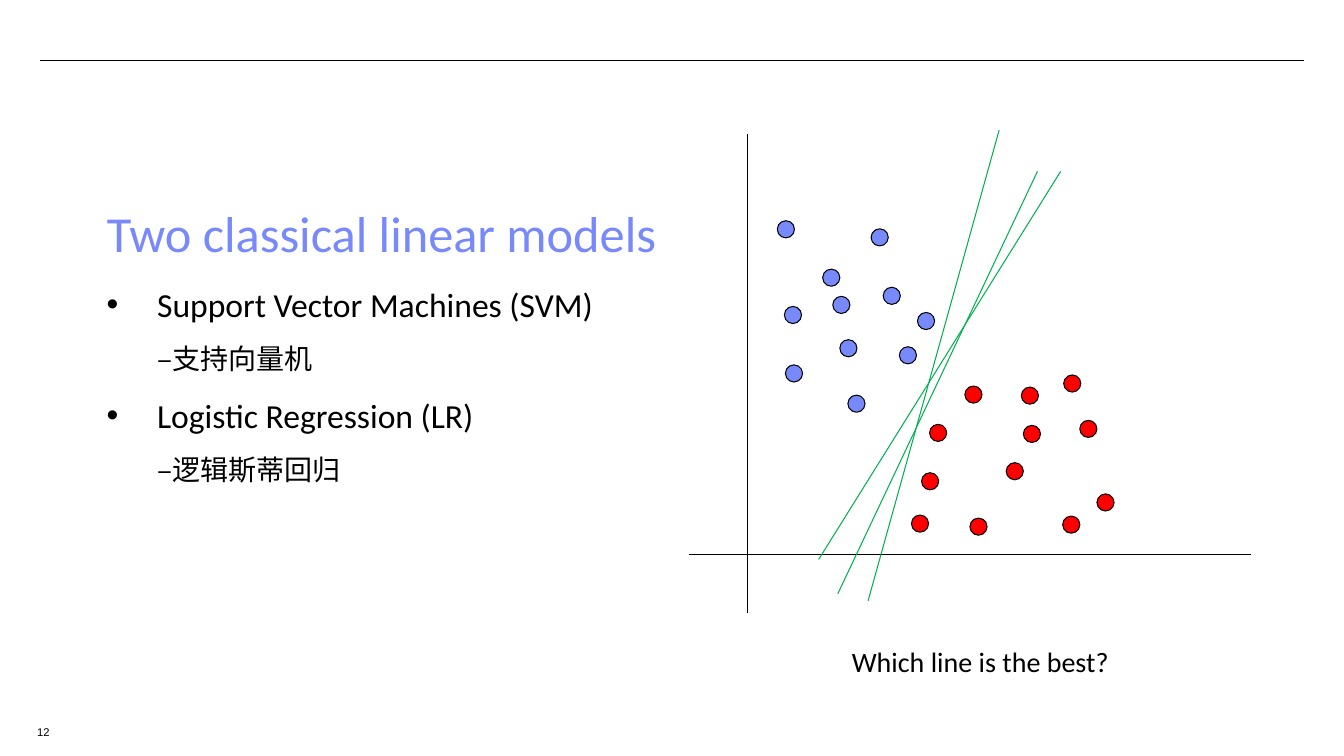
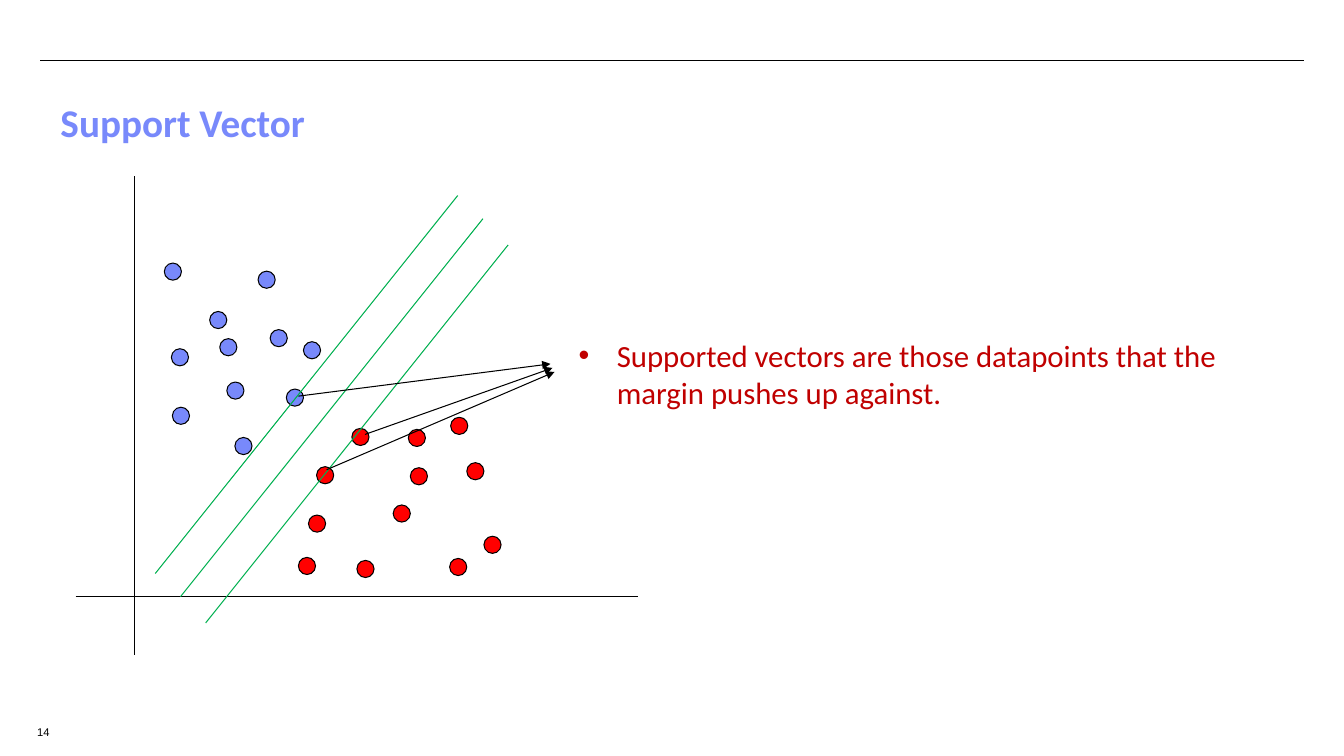
from typing import NamedTuple

from lxml import etree
from pptx import Presentation
from pptx.dml.color import RGBColor
from pptx.enum.shapes import MSO_CONNECTOR, MSO_SHAPE
from pptx.enum.text import MSO_ANCHOR, MSO_AUTO_SIZE, PP_ALIGN
from pptx.oxml.ns import qn
from pptx.util import Pt

PX = 9144  # EMU in one px, 100 px to the inch
WIDTH, HEIGHT = 1333, 750
TITLE_ONLY = 5
STRAIGHT = MSO_CONNECTOR.STRAIGHT
DOT = MSO_SHAPE.FLOWCHART_CONNECTOR
TOP = MSO_ANCHOR.TOP
LEFT = PP_ALIGN.LEFT
NO_FIT = MSO_AUTO_SIZE.NONE

COLORS = {
    "black": "000000",
    "blue": "7889FB",
    "red": "FF0000",
    "green": "00B050",
    "dark": "C00000",
}
FONT = "Calibri"
DOT_SIZE = 17


class Box(NamedTuple):
    left: int
    top: int
    width: int
    height: int


class Line(NamedTuple):
    x1: int
    y1: int
    x2: int
    y2: int


class Para(NamedTuple):
    text: str
    size: int
    color: str = "black"
    bold: bool = False
    font: str = FONT
    space: float = 1.5
    indent: int = 0
    bullet: bool = False


# Plot parts are measured from the point where the axes cross.
AXES = [Line(-58, 0, 500, 0), Line(0, -417, 0, 58)]
BLUE_DOTS = [
    (75, -283), (123, -323), (135, -265), (92, -213), (37, -246),
    (85, -256), (38, -188), (100, -158), (151, -206), (30, -331),
]
RED_DOTS = [
    (216, -167), (314, -178), (347, -60), (330, -133), (313, -38), (274, -128),
    (272, -166), (181, -129), (163, -39), (173, -81), (221, -36), (257, -91),
]
GUESSES = [
    Line(991, 129, 861, 596),
    Line(1029, 170, 831, 589),
    Line(1052, 170, 812, 555),
]
MARGINS = [
    Line(479 + dx, 217 + dy, 179 + dx, 592 + dy)
    for dx, dy in ((0, 0), (-25, -23), (25, 26))
]
ARROWS = [
    Line(296, 393, 546, 361),
    Line(324, 466, 550, 369),
    Line(362, 431, 548, 365),
]


def rgb(name: str) -> RGBColor:
    return RGBColor.from_string(COLORS[name])


def place(shape, box: Box) -> None:
    shape.left, shape.top, shape.width, shape.height = (v * PX for v in box)


def draw_line(slide, line: Line, color: str = "black", arrow: bool = False) -> None:
    link = slide.shapes.add_connector(STRAIGHT, *(v * PX for v in line))
    link.line.color.rgb = rgb(color)
    link.line.width = Pt(0.75)
    props = link._element.spPr
    if arrow:
        etree.SubElement(props.find(qn("a:ln")), qn("a:tailEnd"), type="triangle")
    etree.SubElement(props, qn("a:effectLst"))


def draw_dot(slide, x: int, y: int, color: str) -> None:
    dot = slide.shapes.add_shape(DOT, *(v * PX for v in (x, y, DOT_SIZE, DOT_SIZE)))
    dot.shadow.inherit = False
    dot.fill.solid()
    dot.fill.fore_color.rgb = rgb(color)
    dot.line.color.rgb = rgb("black")
    dot.line.width = Pt(0.75)


def write(frame, paras: list[Para], wrap: bool = True) -> None:
    frame.word_wrap = wrap
    frame.auto_size = NO_FIT
    frame.vertical_anchor = TOP
    for i, item in enumerate(paras):
        para = frame.add_paragraph() if i else frame.paragraphs[0]
        props = para._p.get_or_add_pPr()
        props.set("marL", str(item.indent * PX))
        props.set("indent", str(-item.indent * PX if item.bullet else 0))
        if item.bullet:
            etree.SubElement(props, qn("a:buFont"), typeface="Arial")
            etree.SubElement(props, qn("a:buChar"), char="•")
        para.alignment = LEFT
        para.line_spacing = item.space
        run = para.add_run()
        run.text = item.text
        run.font.name = item.font
        run.font.size = Pt(item.size)
        run.font.bold = item.bold
        run.font.color.rgb = rgb(item.color)


def add_text(slide, box: Box, paras: list[Para], wrap: bool = True) -> None:
    shape = slide.shapes.add_textbox(*(v * PX for v in box))
    write(shape.text_frame, paras, wrap)


def add_page(deck, number: int, box: Box, title: Para):
    """Add a slide with its title, top rule and page number."""
    slide = deck.slides.add_slide(deck.slide_layouts[TITLE_ONLY])
    place(slide.shapes.title, box)
    write(slide.shapes.title.text_frame, [title])
    draw_line(slide, Line(40, 60, 1293, 60))
    label = Para(str(number), 8, font="Arial", space=1.0)
    add_text(slide, Box(27, 715, 53, 20), [label])
    return slide


def draw_plot(slide, x: int, y: int, edge: tuple[int, int], cuts: list[Line]) -> None:
    """Draw axes crossing at x, y, both classes with one extra blue dot, and cuts."""
    for axis in AXES:
        draw_line(slide, Line(axis.x1 + x, axis.y1 + y, axis.x2 + x, axis.y2 + y))
    for color, dots in (("blue", BLUE_DOTS + [edge]), ("red", RED_DOTS)):
        for dx, dy in dots:
            draw_dot(slide, x + dx, y + dy, color)
    for cut in cuts:
        draw_line(slide, cut, "green")


def add_models(deck) -> None:
    title = Para("Two classical linear models", 36, "blue")
    slide = add_page(deck, 12, Box(96, 166, 579, 102), title)
    add_text(slide, Box(96, 257, 579, 232), [
        Para("Support Vector Machines (SVM)", 24, indent=50, bullet=True),
        Para("–支持向量机", 20, indent=50),
        Para("Logistic Regression (LR)", 24, indent=50, bullet=True),
        Para("–逻辑斯蒂回归", 20, indent=50),
    ])
    draw_plot(slide, 741, 550, (169, -240), GUESSES)
    caption = Para("Which line is the best?", 20)
    add_text(slide, Box(835, 618, 278, 55), [caption], wrap=False)


def add_vectors(deck) -> None:
    title = Para("Support Vector", 28, "blue", bold=True)
    slide = add_page(deck, 14, Box(50, 69, 1283, 73), title)
    draw_plot(slide, 133, 592, (168, -253), MARGINS)
    note = "Supported vectors are those datapoints that the margin pushes up against."
    add_text(slide, Box(564, 329, 666, 84), [
        Para(note, 22, "dark", space=1.0, indent=38, bullet=True),
    ])
    for arrow in ARROWS:
        draw_line(slide, arrow, arrow=True)


def main() -> None:
    deck = Presentation()
    deck.slide_width, deck.slide_height = WIDTH * PX, HEIGHT * PX
    add_models(deck)
    add_vectors(deck)
    deck.save("out.pptx")


if __name__ == "__main__":
    main()
